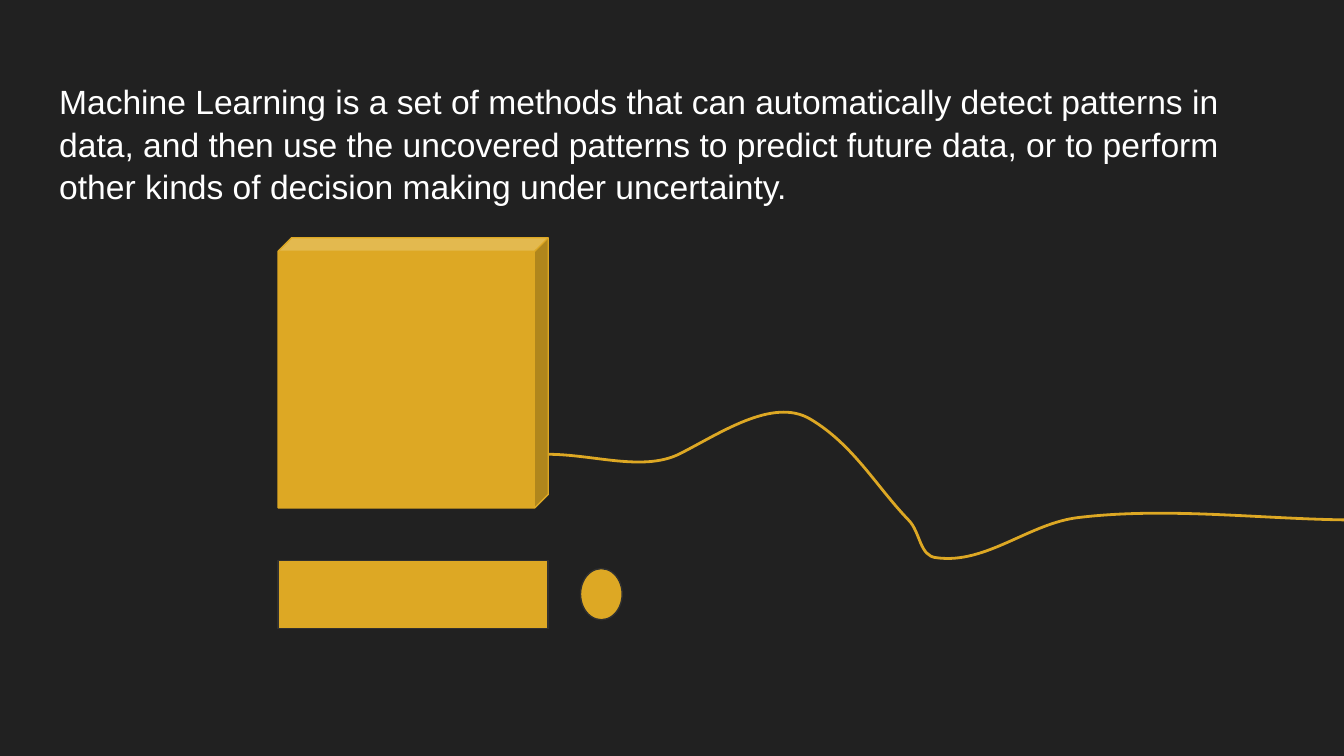
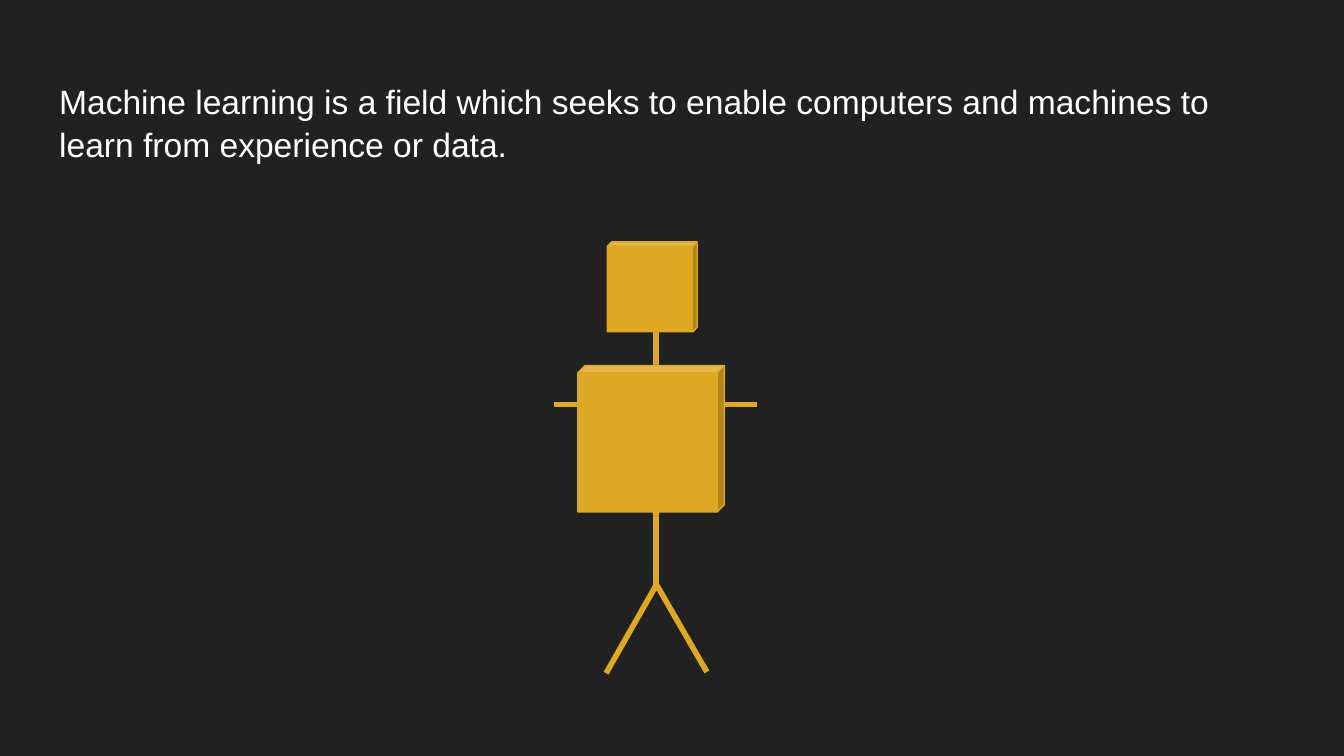
"""Build two dark slides that define machine learning, with a computer and a robot drawing."""
from dataclasses import dataclass

from lxml import etree
from pptx import Presentation
from pptx import util as u
from pptx.dml.color import RGBColor
from pptx.enum import shapes, text
from pptx.oxml.ns import qn

COLORS = {"background": "212121", "gold": "DDA824", "edge": "303030", "white": "FFFFFF"}
FONT = "Arial"
TITLE_BOX = (24.5, 35.3, 671, 45.4)
TITLE_INSET = 7.2
CUBE_DEPTH = 0.05
LIMB_WIDTH = 3
TITLE_ONLY_LAYOUT = 5


@dataclass(frozen=True)
class Solid:
    kind: shapes.MSO_SHAPE
    left: float
    top: float
    width: float
    height: float
    edge: str = "gold"


@dataclass(frozen=True)
class Limb:
    start: tuple[float, float]
    end: tuple[float, float]


COMPUTER = [
    Solid(shapes.MSO_SHAPE.CUBE, 149, 127.4, 144.7, 144.7),
    Solid(shapes.MSO_SHAPE.RECTANGLE, 149, 300.2, 144.7, 36.7, "edge"),
    Solid(shapes.MSO_SHAPE.OVAL, 311, 304.6, 22.3, 27.4, "edge"),
]
CABLE = [
    (293.8, 243.4),
    (317.5, 243.4), (344.2, 252.7), (363.6, 243.4),
    (385.2, 232.6), (414, 212.4), (434.2, 224.6),
    (457.2, 238.3), (469.4, 260.6), (486.7, 278.6),
    (493.2, 285.1), (492.5, 298.1), (501.8, 298.8),
    (528.5, 302.4), (551.5, 280.1), (578.2, 277.2),
    (627.8, 271.4), (679, 278.6), (728.6, 278.6),
]
ROBOT_LIMBS = [
    Limb((351.4, 175.7), (351.4, 316.8)),
    Limb((296.6, 216.7), (405.4, 216.7)),
    Limb((352.1, 312.5), (324.7, 360.7)),
    Limb((352.1, 313.9), (378.7, 360)),
]
ROBOT_BLOCKS = [
    Solid(shapes.MSO_SHAPE.CUBE, 309.6, 195.8, 78.5, 78.5),
    Solid(shapes.MSO_SHAPE.CUBE, 325.4, 129.6, 48.2, 48.2),
]


def color(name: str) -> RGBColor:
    """Look up a named colour."""
    return RGBColor.from_string(COLORS[name])


def set_line(line, name: str, width: float) -> None:
    """Give a line its colour and width."""
    line.color.rgb = color(name)
    line.width = u.Pt(width)


def write_text(frame, content: str, *, size: float, fill: str, spacing: float = 1.0) -> None:
    """Write one left-aligned paragraph into a text frame."""
    paragraph = frame.paragraphs[0]
    paragraph.alignment = text.PP_ALIGN.LEFT
    paragraph.line_spacing = spacing
    run = paragraph.add_run()
    run.text = content
    run.font.name = FONT
    run.font.size = u.Pt(size)
    run.font.color.rgb = color(fill)


def add_titled_slide(presentation, content: str):
    """Add a title-only slide and format its title."""
    slide = presentation.slides.add_slide(presentation.slide_layouts[TITLE_ONLY_LAYOUT])
    title = slide.shapes.title
    title.left, title.top, title.width, title.height = map(u.Pt, TITLE_BOX)
    frame = title.text_frame
    frame.word_wrap = True
    frame.auto_size = text.MSO_AUTO_SIZE.NONE
    frame.vertical_anchor = text.MSO_ANCHOR.TOP
    for side in ("left", "top", "right", "bottom"):
        setattr(frame, f"margin_{side}", u.Pt(TITLE_INSET))
    write_text(frame, content, size=18, fill="white", spacing=1.05)
    return slide


def add_solid(slide, solid: Solid) -> None:
    """Draw a gold preset shape."""
    box = map(u.Pt, (solid.left, solid.top, solid.width, solid.height))
    shape = slide.shapes.add_shape(solid.kind, *box)
    shape.shadow.inherit = False
    shape.fill.solid()
    shape.fill.fore_color.rgb = color("gold")
    set_line(shape.line, solid.edge, 0.75)
    if solid.kind == shapes.MSO_SHAPE.CUBE:
        shape.adjustments[0] = CUBE_DEPTH


def add_limb(slide, limb: Limb) -> None:
    """Draw a straight gold line."""
    ends = map(u.Pt, (*limb.start, *limb.end))
    connector = slide.shapes.add_connector(shapes.MSO_CONNECTOR.STRAIGHT, *ends)
    set_line(connector.line, "gold", LIMB_WIDTH)
    etree.SubElement(connector._element.spPr, qn("a:effectLst"))


def add_curve(slide, points: list[tuple[float, float]], width: float) -> None:
    """Draw cubic curves from a start point followed by triples of points."""
    start, *others = [(u.Pt(x), u.Pt(y)) for x, y in points]
    builder = slide.shapes.build_freeform(*start)
    builder.add_line_segments(others, close=False)
    shape = builder.convert_to_shape()
    shape.shadow.inherit = False
    shape.fill.background()
    set_line(shape.line, "gold", width)
    segments = list(shape._element.iter(qn("a:lnTo")))
    for index in range(0, len(segments), 3):
        curve = etree.Element(qn("a:cubicBezTo"))
        segments[index].addprevious(curve)
        for segment in segments[index:index + 3]:
            curve.append(segment[0])
            segment.getparent().remove(segment)


def main() -> None:
    """Build and save the presentation."""
    presentation = Presentation()
    presentation.slide_width, presentation.slide_height = u.Pt(720), u.Pt(405)
    background = presentation.slide_master.background.fill
    background.solid()
    background.fore_color.rgb = color("background")

    computer_slide = add_titled_slide(
        presentation,
        "Machine Learning is a set of methods that can automatically detect patterns in data, "
        "and then use the uncovered patterns to predict future data, or to perform other kinds "
        "of decision making under uncertainty.",
    )
    screen, *accessories = COMPUTER
    add_solid(computer_slide, screen)
    add_curve(computer_slide, CABLE, width=1.5)
    for accessory in accessories:
        add_solid(computer_slide, accessory)

    robot_slide = add_titled_slide(
        presentation,
        "Machine learning is a field which seeks to enable computers and machines to learn "
        "from experience or data.",
    )
    for limb in ROBOT_LIMBS:
        add_limb(robot_slide, limb)
    for block in ROBOT_BLOCKS:
        add_solid(robot_slide, block)

    presentation.save("out.pptx")


if __name__ == "__main__":
    main()
